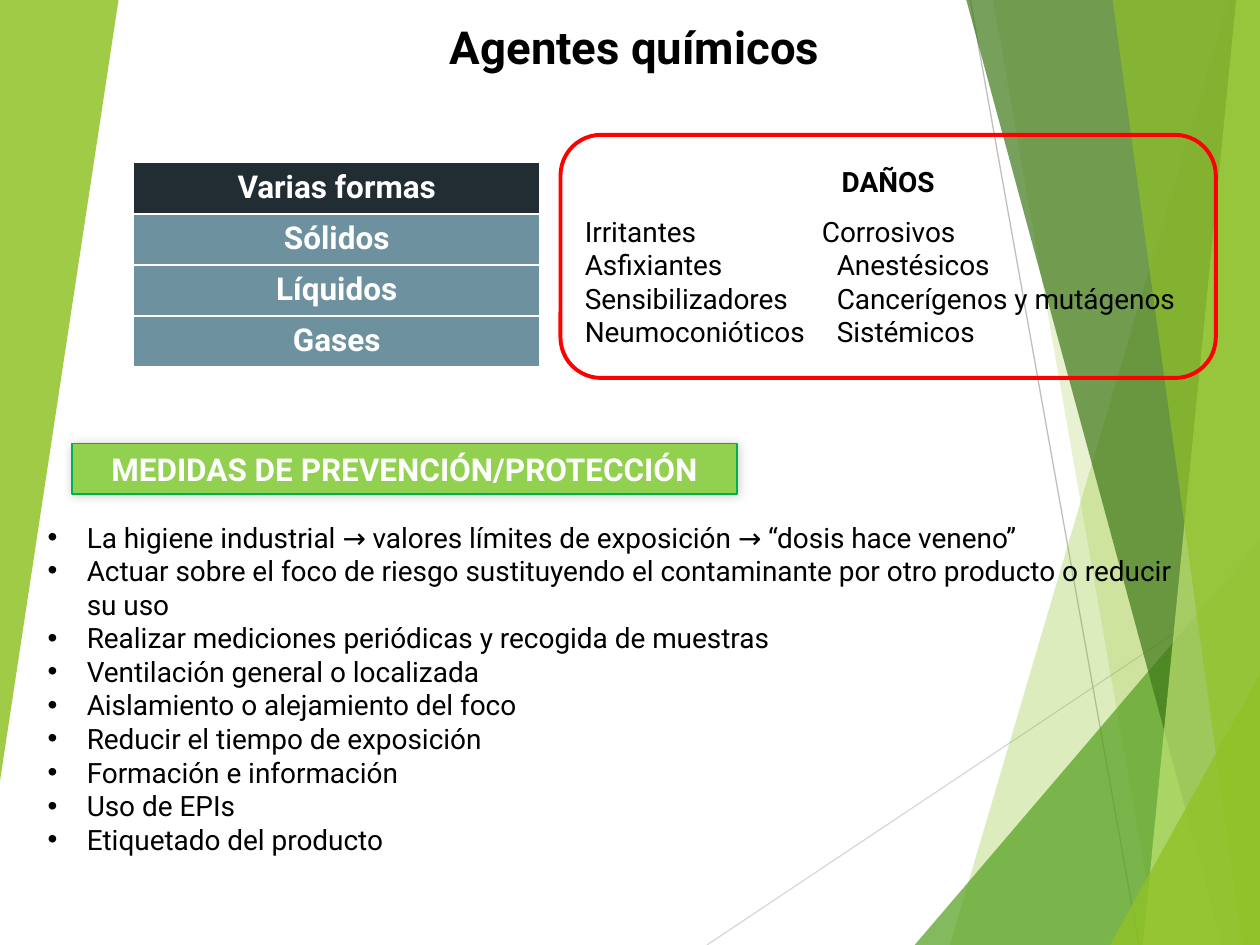
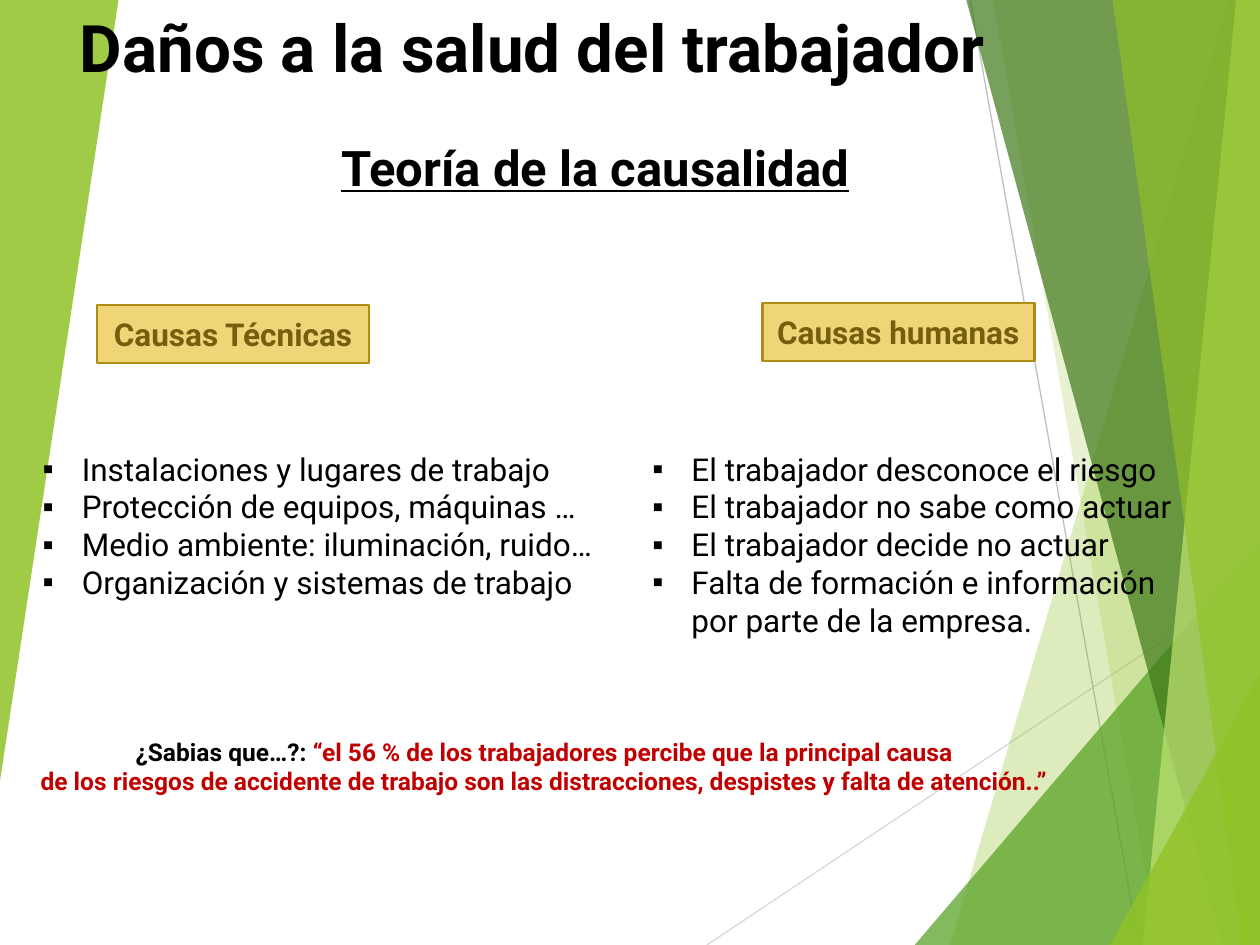
from lxml import etree
from pptx import Presentation
from pptx.dml.color import RGBColor
from pptx.enum.shapes import MSO_CONNECTOR, MSO_SHAPE
from pptx.enum.text import MSO_ANCHOR, PP_ALIGN
from pptx.oxml.ns import qn
from pptx.util import Cm, Pt

RECT, ROUND = MSO_SHAPE.RECTANGLE, MSO_SHAPE.ROUNDED_RECTANGLE
LINE = MSO_CONNECTOR.STRAIGHT
LEFT, MID = PP_ALIGN.LEFT, PP_ALIGN.CENTER
TOP, MIDDLE = MSO_ANCHOR.TOP, MSO_ANCHOR.MIDDLE
FONT = "Roboto"
WIDE, HIGH = 25.4, 19.05
COLORS = {
    "black": "000000", "white": "FFFFFF", "red": "FF0000", "quote": "C00000",
    "pale": "D9D9D9", "gray": "BFBFBF", "lime": "90C226", "green": "54A021",
    "forest": "3F7819", "mint": "C0E474", "label": "92D050", "edge": "00B050",
    "gold": "F0D578", "rim": "AF8C14", "brown": "755E0D",
    "slate": "212D32", "steel": "6E91A0",
}
RAYS = [
    ("pale", 14.25, HIGH, WIDE, 11.61),
    ("gray", 19.56, 0, 22.96, HIGH),
]
FACETS = [
    ("lime", 30, [(24.77, 0), (19.15, HIGH), (WIDE, HIGH), (WIDE, 0)]),
    ("lime", 20, [(20.02, 0), (23.34, HIGH), (WIDE, HIGH), (WIDE, 0)]),
    ("green", 72, [(18.44, HIGH), (WIDE, 10.9), (WIDE, HIGH)]),
    ("forest", 70, [(19.48, 0), (24.64, HIGH), (WIDE, HIGH), (WIDE, 0)]),
    ("mint", 70, [(24.92, 0), (23.04, HIGH), (WIDE, HIGH), (WIDE, 0)]),
    ("lime", 65, [(22.43, 0), (25.04, HIGH), (WIDE, HIGH), (WIDE, 0)]),
    ("lime", 80, [(22.38, HIGH), (WIDE, 13.59), (WIDE, HIGH)]),
    ("lime", 85, [(0, 0), (2.39, 0), (0, 15.75)]),
]
FORMS = ["Varias formas", "Sólidos", "Líquidos", "Gases"]
HARMS = [
    ("Irritantes", "Corrosivos", 4.78),
    ("Asfixiantes", "Anestésicos", 5.08),
    ("Sensibilizadores", "Cancerígenos y mutágenos", 5.08),
    ("Neumoconióticos", "Sistémicos", 5.08),
]
STEPS = [
    "La higiene industrial → valores límites de exposición → “dosis hace veneno”",
    "Actuar sobre el foco de riesgo sustituyendo el contaminante por otro producto o reducir su uso",
    "Realizar mediciones periódicas y recogida de muestras",
    "Ventilación general o localizada",
    "Aislamiento o alejamiento del foco",
    "Reducir el tiempo de exposición",
    "Formación e información",
    "Uso de EPIs",
    "Etiquetado del producto",
]
CAUSES = [
    ("Causas Técnicas", 1.96, 6.15, 0.61, [
        "Instalaciones y lugares de trabajo",
        "Protección de equipos, máquinas …",
        "Medio ambiente: iluminación, ruido…",
        "Organización y sistemas de trabajo",
    ]),
    ("Causas humanas", 15.37, 6.11, 12.9, [
        "El trabajador desconoce el riesgo",
        "El trabajador no sabe como actuar",
        "El trabajador decide no actuar",
        "Falta de formación e información por parte de la empresa.",
    ]),
]


def tint(name):
    return RGBColor.from_string(COLORS[name])


def style(para, size, color="black", bold=False, align=LEFT):
    para.alignment = align
    for run in para.runs:
        font = run.font
        font.name, font.size, font.bold = FONT, Pt(size), bold
        font.color.rgb = tint(color)


def fill(frame, lines, size, mark=None, **looks):
    frame.word_wrap = True
    for i, line in enumerate(lines):
        para = frame.add_paragraph() if i else frame.paragraphs[0]
        para.text = line
        if mark:
            props = para._p.get_or_add_pPr()
            props.set("marL", str(Cm(0.79)))
            props.set("indent", str(-Cm(0.79)))
            etree.SubElement(props, qn("a:buFont"), typeface="Arial")
            etree.SubElement(props, qn("a:buChar"), char=mark)
        style(para, size, **looks)
    return frame.paragraphs


def add_text(slide, place, lines, size, anchor=TOP, **looks):
    frame = slide.shapes.add_textbox(*map(Cm, place)).text_frame
    frame.vertical_anchor = anchor
    return fill(frame, lines, size, **looks)


def add_box(slide, kind, place, back, edge, width):
    box = slide.shapes.add_shape(kind, *map(Cm, place))
    box.shadow.inherit = False
    if back:
        box.fill.solid()
        box.fill.fore_color.rgb = tint(back)
    else:
        box.fill.background()
    box.line.color.rgb = tint(edge)
    box.line.width = Pt(width)
    box.text_frame.vertical_anchor = MIDDLE
    return box


def add_glow(box):
    glow = etree.SubElement(box._element.spPr.find(qn("a:effectLst")), qn("a:outerShdw"),
                            blurRad=str(Pt(6)), dist="0", dir="13500000")
    color = etree.SubElement(glow, qn("a:srgbClr"), val=COLORS["black"])
    etree.SubElement(color, qn("a:alpha"), val="20000")


def add_ray(slide, color, *ends):
    ray = slide.shapes.add_connector(LINE, *map(Cm, ends))
    ray.line.color.rgb = tint(color)
    ray.line.width = Pt(0.75)
    etree.SubElement(ray._element.spPr, qn("a:effectLst"))


def add_facet(slide, color, alpha, points):
    first, *rest = [(Cm(x), Cm(y)) for x, y in points]
    path = slide.shapes.build_freeform(*first)
    path.add_line_segments(rest, close=True)
    facet = path.convert_to_shape()
    facet.shadow.inherit = False
    facet.line.fill.background()
    facet.fill.solid()
    facet.fill.fore_color.rgb = tint(color)
    shade = facet._element.spPr.find(qn("a:solidFill"))[0]
    etree.SubElement(shade, qn("a:alpha"), val=str(alpha * 1000))


def add_slide(deck):
    slide = deck.slides.add_slide(deck.slide_layouts[6])
    for ray in RAYS:
        add_ray(slide, *ray)
    for facet in FACETS:
        add_facet(slide, *facet)
    return slide


def add_title(slide, left, width, text, size, align):
    add_text(slide, (left, 0.13, width, 1.6), [text], size, MIDDLE, bold=True, align=align)


def add_forms(slide):
    place = map(Cm, (2.69, 3.28, 8.2, 4.12))
    table = slide.shapes.add_table(len(FORMS), 1, *place).table
    for i, form in enumerate(FORMS):
        cell = table.cell(i, 0)
        cell.fill.solid()
        cell.fill.fore_color.rgb = tint("steel" if i else "slate")
        fill(cell.text_frame, [form], 18, color="white", bold=True, align=MID)


def add_harms(slide):
    box = add_box(slide, ROUND, (11.3, 2.72, 13.21, 4.9), None, "red", 2.25)
    rows = [f"{one}\t{two}" for one, two, stop in HARMS]
    head, *paras = fill(box.text_frame, ["DAÑOS"] + rows, 16)
    style(head, 16, bold=True, align=MID)
    paras[0].space_before = Pt(9.4)
    for para, (one, two, stop) in zip(paras, HARMS):
        tabs = etree.SubElement(para._p.get_or_add_pPr(), qn("a:tabLst"))
        etree.SubElement(tabs, qn("a:tab"), pos=str(Cm(stop)), algn="l")


def add_agents(deck):
    slide = add_slide(deck)
    add_title(slide, 0.2, 25.2, "Agentes químicos", 26, MID)
    label = add_box(slide, RECT, (1.45, 8.94, 13.41, 1.02), "label", "edge", 0.75)
    add_glow(label)
    fill(label.text_frame, ["MEDIDAS DE PREVENCIÓN/PROTECCIÓN"], 18,
         color="white", bold=True, align=MID)
    add_harms(slide)
    add_text(slide, (0.71, 10.36, 23.39, 7.09), STEPS, 16, mark="•")
    add_forms(slide)


def add_theory(deck):
    slide = add_slide(deck)
    add_title(slide, 1.36, 22, "Daños a la salud del trabajador", 37.4, LEFT)
    for head, left, top, start, items in CAUSES:
        box = add_box(slide, RECT, (left, top, 5.48, 1.17), "gold", "rim", 1.5)
        fill(box.text_frame, [head], 18, color="brown", bold=True, align=MID)
        add_text(slide, (start, 8.94, 11.68, 4.11), items, 18, mark="▪")
    theme = add_text(slide, (6.63, 2.64, 12.14, 1.45), ["Teoría de la causalidad"], 28, bold=True)
    theme[0].runs[0].font.underline = True
    quote = add_text(slide, (0.03, 14.73, 21.89, 1.45), [
        "¿Sabias que…?:",
        "de los riesgos de accidente de trabajo son las distracciones, despistes y falta de atención..”",
    ], 14, color="quote", bold=True, align=MID)
    fact = quote[0].add_run()
    fact.text = " “el 56 % de los trabajadores percibe que la principal causa"
    style(quote[0], 14, "quote", True, MID)
    quote[0].runs[0].font.color.rgb = tint("black")


def main():
    deck = Presentation()
    deck.slide_width, deck.slide_height = Cm(WIDE), Cm(HIGH)
    add_agents(deck)
    add_theory(deck)
    deck.save("out.pptx")


if __name__ == "__main__":
    main()
